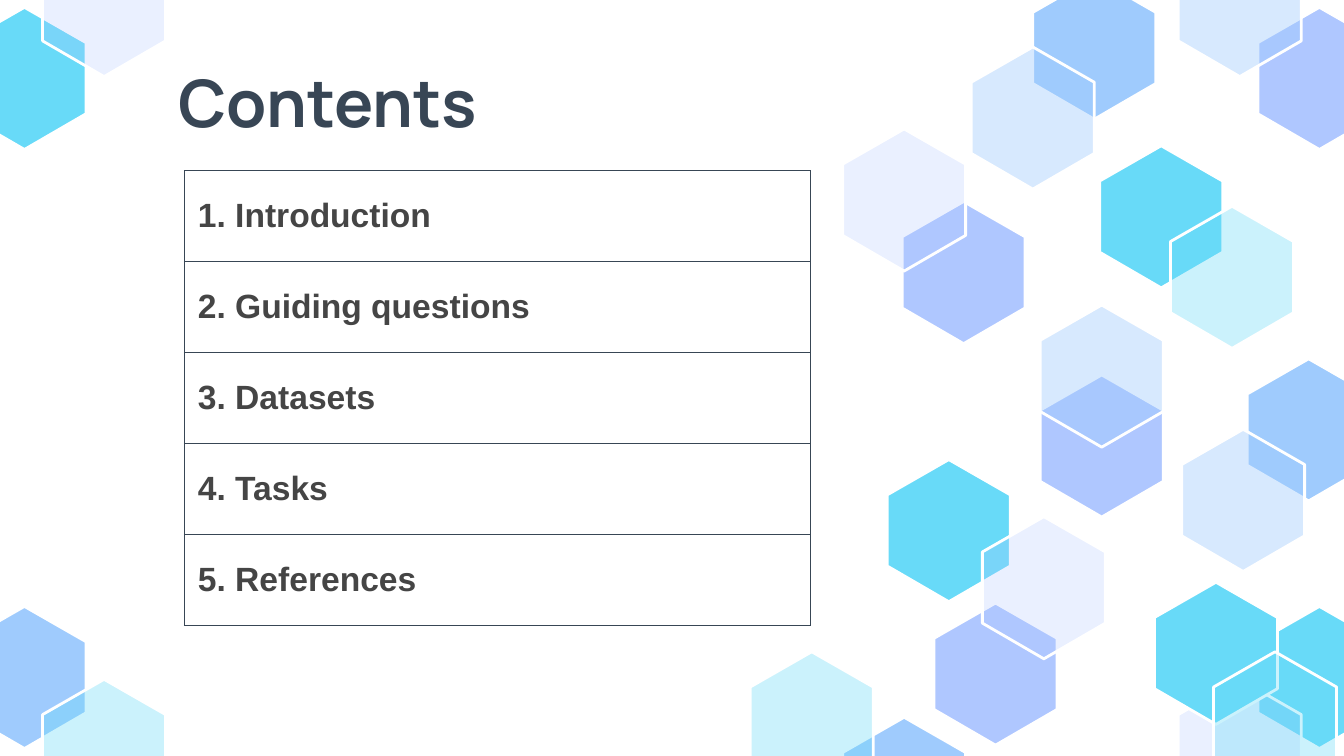
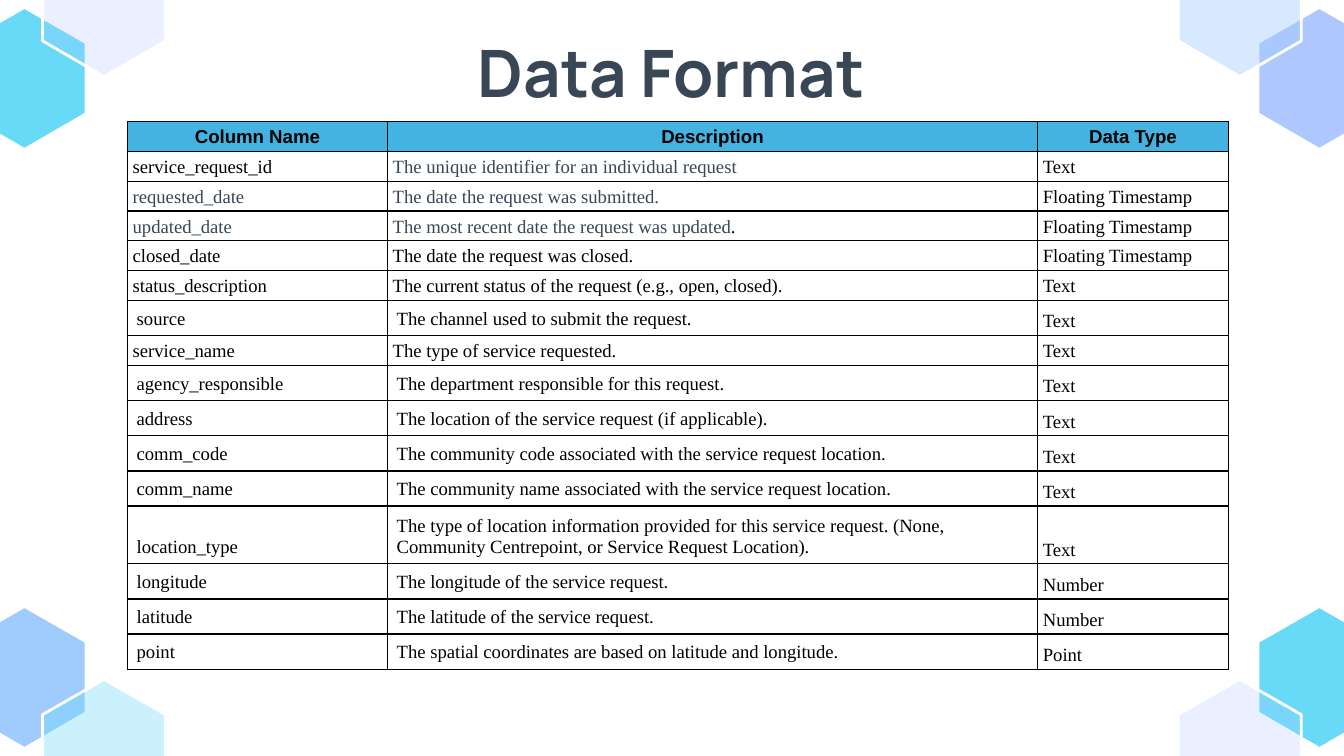
from dataclasses import dataclass
from itertools import product
from typing import Any

from lxml import etree
from pptx import Presentation
from pptx.dml.color import RGBColor
from pptx.enum import text as t
from pptx.oxml import ns
from pptx.util import Emu, Pt

PX = 2286
SLIDE_W, SLIDE_H = 4000, 2250
HEX_W, HEX_H = 366, 423

COLORS = {
    "white": "FFFFFF",
    "black": "000000",
    "slate": "384655",
    "charcoal": "454545",
    "header": "44B3E1",
    "sky": "9FCBFD",
    "cyan": "68DAF8",
    "lavender": "AFC7FF",
}
PALE_ALPHA = {"sky": 41, "cyan": 34, "lavender": 25}


@dataclass(frozen=True)
class Hexagon:
    x: int
    y: int
    color: str
    pale: bool = False


@dataclass(frozen=True)
class TextStyle:
    font: str
    size: int
    color: str
    bold: bool = False


@dataclass(frozen=True)
class Padding:
    x: int
    y: int


@dataclass(frozen=True)
class Field:
    name: str
    description: str
    data_type: str
    roomy: bool = True
    height: int = 101
    name_color: str = "black"
    description_color: str = "black"
    ending: str = ""


TITLE = TextStyle("Manrope", 35, "slate", True)
TOPIC = TextStyle("Arial", 18, "charcoal", True)
HEADING = TextStyle("Arial", 10, "black", True)

TOPIC_PADDING = Padding(40, 0)
TIGHT = Padding(16, 11)
ROOMY = Padding(28, 19)
TIGHT_ROW = 85

CORNER_COLORS = {
    ("left", "bottom"): ("sky", "cyan"),
    ("right", "bottom"): ("cyan", "lavender"),
    ("left", "top"): ("cyan", "lavender"),
    ("right", "top"): ("lavender", "sky"),
}

HONEYCOMB = [
    Hexagon(3096, 1116, "lavender"),
    Hexagon(3074, -68, "sky"),
    Hexagon(2891, 140, "sky", True),
    Hexagon(2685, 600, "lavender"),
    Hexagon(2508, 384, "lavender", True),
    Hexagon(3273, 434, "cyan"),
    Hexagon(3096, 908, "sky", True),
    Hexagon(3484, 614, "cyan", True),
    Hexagon(2641, 1368, "cyan"),
    Hexagon(2780, 1795, "lavender"),
    Hexagon(2508, 2135, "sky"),
    Hexagon(2924, 1538, "lavender", True),
    Hexagon(2233, 1940, "cyan", True),
    Hexagon(3712, 1068, "sky"),
    Hexagon(3517, 1278, "sky", True),
    Hexagon(3436, 1733, "cyan"),
    Hexagon(3612, 1940, "cyan", True),
]

TOPICS = [
    "1. Introduction",
    "2. Guiding questions",
    "3. Datasets",
    "4. Tasks",
    "5. References",
]

HEADINGS = ["Column Name", "Description", "Data Type"]
FIELDS = [
    Field("service_request_id", "The unique identifier for an individual request",
          "Text", False, TIGHT_ROW, "black", "slate"),
    Field("requested_date", "The date the request was submitted.",
          "Floating Timestamp", False, TIGHT_ROW, "slate", "slate"),
    Field("updated_date", "The most recent date the request was updated",
          "Floating Timestamp", False, TIGHT_ROW, "slate", "slate", "."),
    Field("closed_date", "The date the request was closed.",
          "Floating Timestamp", False, TIGHT_ROW),
    Field("status_description", "The current status of the request (e.g., open, closed).",
          "Text", False, TIGHT_ROW),
    Field("source", "The channel used to submit the request.", "Text"),
    Field("service_name", "The type of service requested.", "Text", False, TIGHT_ROW),
    Field("agency_responsible", "The department responsible for this request.", "Text"),
    Field("address", "The location of the service request (if applicable).", "Text"),
    Field("comm_code",
          "The community code associated with the service request location.", "Text"),
    Field("comm_name",
          "The community name associated with the service request location.", "Text"),
    Field("location_type",
          "The type of location information provided for this service request. "
          "(None, Community Centrepoint, or Service Request Location).",
          "Text", height=164),
    Field("longitude", "The longitude of the service request.", "Number"),
    Field("latitude", "The latitude of the service request.", "Number"),
    Field("point", "The spatial coordinates are based on latitude and longitude.", "Point"),
]


def px(length: int) -> Emu:
    return Emu(length * PX)


def rgb(color: str) -> RGBColor:
    return RGBColor.from_string(COLORS[color])


def body(color: str) -> TextStyle:
    return TextStyle("Times New Roman", 10, color)


def style_run(run: Any, style: TextStyle) -> None:
    run.font.name = style.font
    run.font.size = Pt(style.size)
    run.font.bold = style.bold
    run.font.color.rgb = rgb(style.color)


def draw_hexagon(slide: Any, hexagon: Hexagon) -> None:
    left, top = hexagon.x, hexagon.y
    middle, right = left + HEX_W // 2, left + HEX_W
    upper, lower, bottom = top + HEX_H // 4, top + HEX_H * 3 // 4, top + HEX_H
    outline = slide.shapes.build_freeform(middle, top, scale=PX)
    outline.add_line_segments(
        [(left, upper), (left, lower), (middle, bottom), (right, lower), (right, upper)]
    )
    tile = outline.convert_to_shape()
    tile.shadow.inherit = False
    tile.fill.solid()
    tile.fill.fore_color.rgb = rgb(hexagon.color)
    tile.line.color.rgb = rgb("white")
    tile.line.width = Pt(1.5)
    if hexagon.pale:
        tint = tile.fill._xPr.find(".//" + ns.qn("a:srgbClr"))
        alpha = etree.SubElement(tint, ns.qn("a:alpha"))
        alpha.set("val", str(PALE_ALPHA[hexagon.color] * 1000))


def draw_corners(slide: Any) -> None:
    for (side, edge), (solid, pale) in CORNER_COLORS.items():
        for x, y, color, is_pale in ((-110, 1805, solid, False), (127, 2022, pale, True)):
            if side == "right":
                x = SLIDE_W - HEX_W - x
            if edge == "top":
                y = SLIDE_H - HEX_H - y
            draw_hexagon(slide, Hexagon(x, y, color, is_pale))


def draw_title(slide: Any, title: str, x: int, y: int, width: int) -> None:
    heading = slide.shapes.add_textbox(px(x), px(y), px(width), px(252)).text_frame
    heading.word_wrap = True
    heading.vertical_anchor = t.MSO_ANCHOR.TOP
    heading.margin_left = heading.margin_right = px(40)
    heading.margin_top = heading.margin_bottom = px(40)
    heading.text = title
    heading.paragraphs[0].alignment = t.PP_ALIGN.CENTER
    style_run(heading.paragraphs[0].runs[0], TITLE)


def draw_grid(slide: Any, x: int, y: int, columns: list[int], rows: list[int],
              border: str) -> Any:
    grid = slide.shapes.add_table(
        len(rows), len(columns), px(x), px(y), px(sum(columns)), px(sum(rows))
    ).table
    grid.first_row = grid.horz_banding = False
    for column, width in zip(grid.columns, columns):
        column.width = px(width)
    for row, height in zip(grid.rows, rows):
        row.height = px(height)
    for r, c in product(range(len(rows)), range(len(columns))):
        cell = grid.cell(r, c)
        cell.fill.background()
        properties = cell._tc.get_or_add_tcPr()
        for position, side in enumerate(("lnL", "lnR", "lnT", "lnB")):
            edge = etree.Element(ns.qn(f"a:{side}"), w=str(Pt(0.75)))
            ink = etree.SubElement(edge, ns.qn("a:solidFill"))
            etree.SubElement(ink, ns.qn("a:srgbClr"), val=COLORS[border])
            properties.insert(position, edge)
    return grid


def write_cell(cell: Any, words: str, style: TextStyle, padding: Padding,
               anchor: t.MSO_ANCHOR = t.MSO_ANCHOR.BOTTOM,
               align: t.PP_ALIGN = t.PP_ALIGN.LEFT) -> None:
    cell.vertical_anchor = anchor
    cell.margin_left = cell.margin_right = px(padding.x)
    cell.margin_top = cell.margin_bottom = px(padding.y)
    cell.text_frame.text = words
    cell.text_frame.paragraphs[0].alignment = align
    style_run(cell.text_frame.paragraphs[0].runs[0], style)


def build_contents(slide: Any) -> None:
    draw_corners(slide)
    draw_title(slide, "Contents", 306, 144, 1340)
    agenda = draw_grid(slide, 549, 508, [1864], [271] * len(TOPICS), "slate")
    for r, topic in enumerate(TOPICS):
        write_cell(agenda.cell(r, 0), topic, TOPIC, TOPIC_PADDING, t.MSO_ANCHOR.MIDDLE)
    for hexagon in HONEYCOMB:
        draw_hexagon(slide, hexagon)


def build_data_format(slide: Any) -> None:
    draw_corners(slide)
    draw_title(slide, "Data Format", 312, 56, 3372)
    heights = [TIGHT_ROW] + [field.height for field in FIELDS]
    schema = draw_grid(slide, 379, 362, [774, 1935, 568], heights, "black")
    for c, heading in enumerate(HEADINGS):
        cell = schema.cell(0, c)
        write_cell(cell, heading, HEADING, TIGHT, align=t.PP_ALIGN.CENTER)
        cell.fill.solid()
        cell.fill.fore_color.rgb = rgb("header")
    for r, field in enumerate(FIELDS, start=1):
        padding = ROOMY if field.roomy else TIGHT
        write_cell(schema.cell(r, 0), field.name, body(field.name_color), padding)
        description = schema.cell(r, 1)
        write_cell(description, field.description, body(field.description_color), padding)
        if field.ending:
            ending = description.text_frame.paragraphs[0].add_run()
            ending.text = field.ending
            style_run(ending, body("black"))
        write_cell(schema.cell(r, 2), field.data_type, body("black"), TIGHT)


def main() -> None:
    deck = Presentation()
    deck.slide_width, deck.slide_height = px(SLIDE_W), px(SLIDE_H)
    for build in (build_contents, build_data_format):
        build(deck.slides.add_slide(deck.slide_layouts[6]))
    deck.save("out.pptx")


if __name__ == "__main__":
    main()
